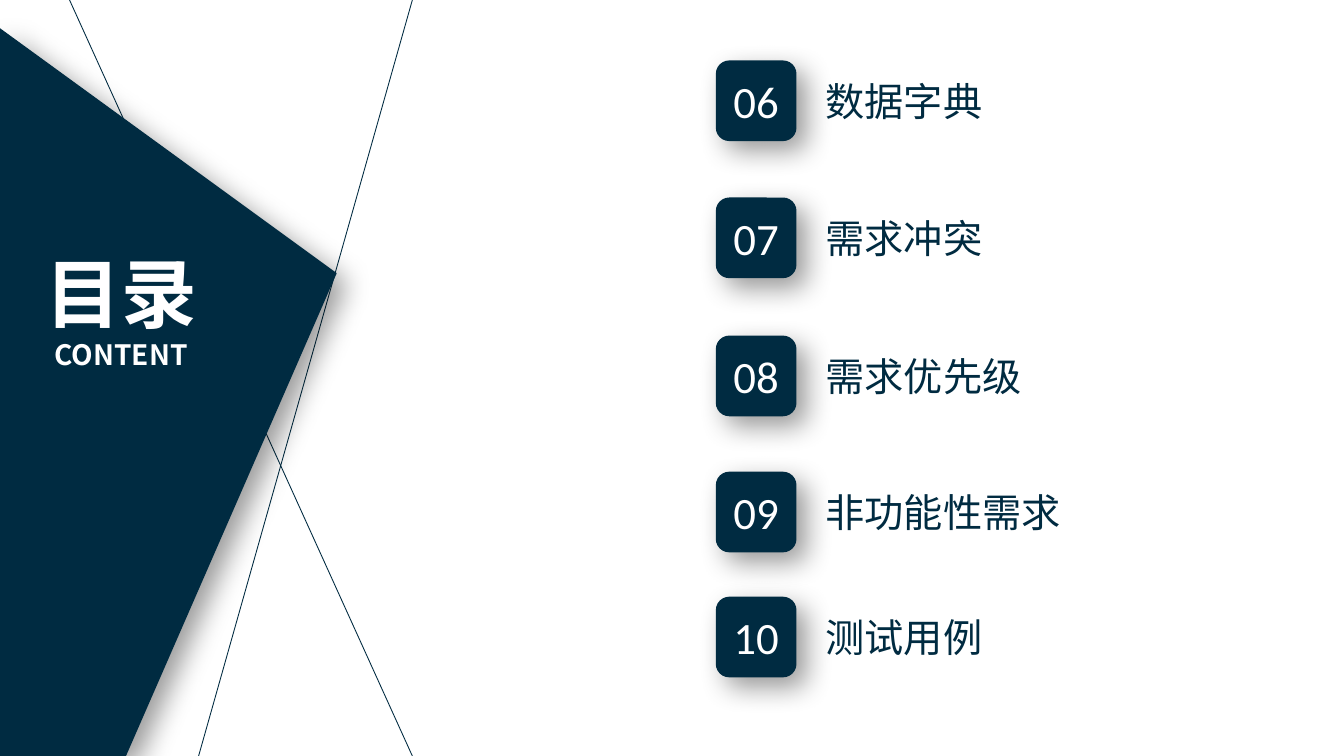
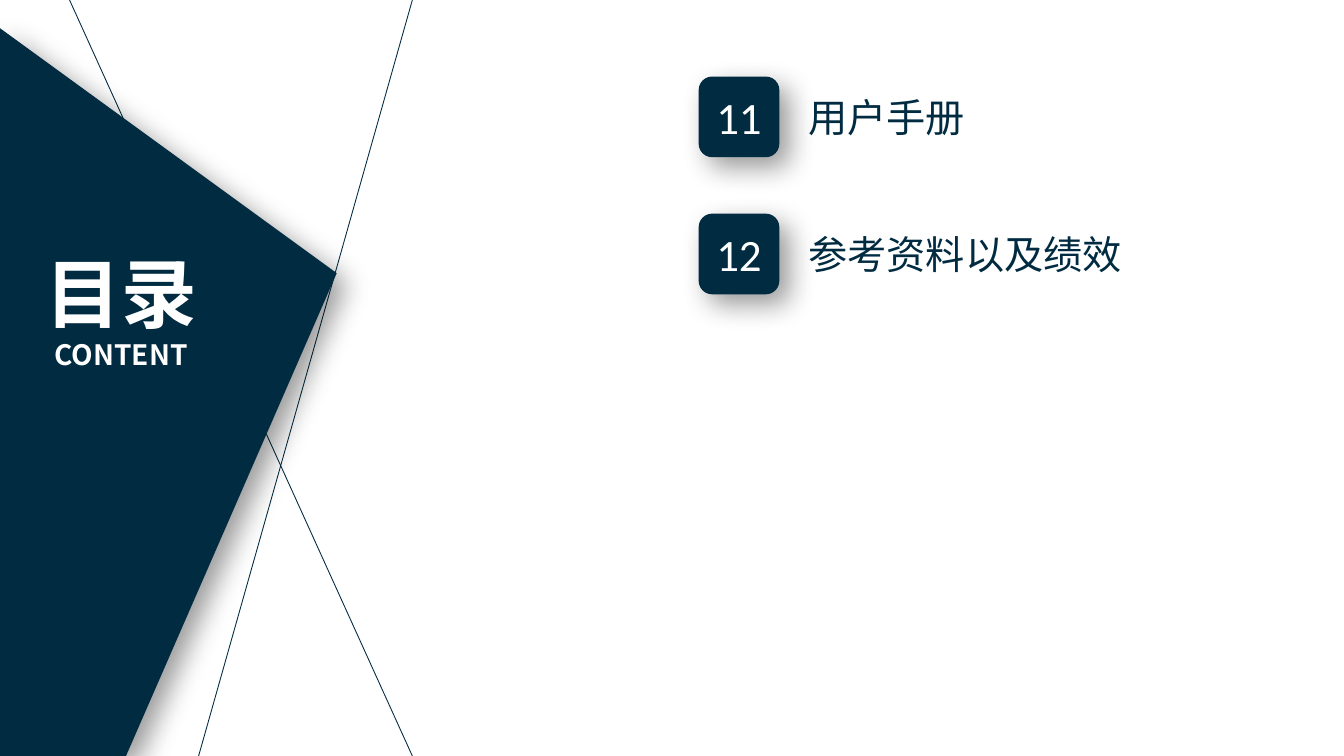
from pptx import Presentation
from pptx.dml.color import RGBColor
from pptx.enum.shapes import MSO_CONNECTOR, MSO_SHAPE
from pptx.enum.text import MSO_ANCHOR, PP_ALIGN
from pptx.oxml.ns import qn
from pptx.util import Inches, Pt
from lxml.etree import SubElement

NAVY, WHITE, BLACK = "002B41", "FFFFFF", "000000"
CJK, LATIN = "Noto Sans CJK SC", "Calibri"

TITLE = [("目录", 54), ("CONTENT", 20)]
LINES = [((4.09, 0), (1.97, 7.5)), ((4.09, 7.5), (0.69, 0))]
PANEL = [(1.25, 7.5), (0, 7.5), (0, 0.28), (3.34, 2.71)]
BADGE = 0.8
LABEL_DX, LABEL_DY, LABEL_H = 0.99, 0.12, 0.57

# Each slide: left edge of the badges, label width, (top, number, label)
SLIDES = [
    (7.1, 3.17, [
        (0.6, "06", "数据字典"),
        (1.96, "07", "需求冲突"),
        (3.33, "08", "需求优先级"),
        (4.68, "09", "非功能性需求"),
        (5.92, "10", "测试用例"),
    ]),
    (6.93, 3.93, [
        (0.76, "11", "用户手册"),
        (2.12, "12", "参考资料以及绩效"),
    ]),
]


def rgb(color):
    return RGBColor.from_string(color)


def add_run(p, text, size, font, color, bold=False):
    r = p.add_run()
    r.text = text
    r.font.size, r.font.name, r.font.bold = Pt(size), font, bold
    r.font.color.rgb = rgb(color)
    SubElement(r.font._element, qn("a:ea"), typeface=font)


def style_block(sp):
    """Navy fill, no outline, soft shadow to the lower right."""
    sp.fill.solid()
    sp.fill.fore_color.rgb = rgb(NAVY)
    sp.line.fill.background()
    sp.shadow.inherit = False
    effects = sp._element.spPr.find(qn("a:effectLst"))
    shadow = SubElement(effects, qn("a:outerShdw"), blurRad=str(Pt(20)),
                        dist=str(Pt(10)), dir=str(45 * 60000),
                        algn="tl", rotWithShape="0")
    color = SubElement(shadow, qn("a:srgbClr"), val=BLACK)
    SubElement(color, qn("a:alpha"), val="40000")


def add_text_box(s, left, top, width, height):
    tf = s.shapes.add_textbox(*map(Inches, (left, top, width, height))).text_frame
    tf.word_wrap = True
    return tf


def add_side_panel(s):
    for start, end in LINES:
        line = s.shapes.add_connector(MSO_CONNECTOR.STRAIGHT,
                                      *map(Inches, start + end))
        line.line.color.rgb = rgb(NAVY)
        line.line.width = Pt(0.63)
        SubElement(line._element.spPr, qn("a:effectLst"))

    points = [(Inches(x), Inches(y)) for x, y in PANEL]
    outline = s.shapes.build_freeform(*points[0])
    outline.add_line_segments(points[1:], close=True)
    style_block(outline.convert_to_shape())

    tf = add_text_box(s, 0.24, 2.4, 1.92, 1.35)
    for i, (text, size) in enumerate(TITLE):
        p = tf.add_paragraph() if i else tf.paragraphs[0]
        p.alignment = PP_ALIGN.CENTER
        add_run(p, text, size, CJK, WHITE, bold=True)


def add_entry(s, left, top, number, label, width):
    badge = s.shapes.add_shape(MSO_SHAPE.ROUNDED_RECTANGLE,
                               *map(Inches, (left, top, BADGE, BADGE)))
    style_block(badge)
    tf = badge.text_frame
    tf.margin_left = tf.margin_right = tf.margin_top = tf.margin_bottom = 0
    tf.vertical_anchor = MSO_ANCHOR.MIDDLE
    tf.word_wrap = False
    p = tf.paragraphs[0]
    p.alignment = PP_ALIGN.CENTER
    add_run(p, number, 32, LATIN, WHITE)

    tf = add_text_box(s, left + LABEL_DX, top + LABEL_DY, width, LABEL_H)
    add_run(tf.paragraphs[0], label, 28, CJK, NAVY)


def main():
    prs = Presentation()
    prs.slide_width, prs.slide_height = Inches(13.33), Inches(7.5)
    for left, width, entries in SLIDES:
        s = prs.slides.add_slide(prs.slide_layouts[6])
        add_side_panel(s)
        for top, number, label in entries:
            add_entry(s, left, top, number, label, width)
    prs.save("out.pptx")


if __name__ == "__main__":
    main()
